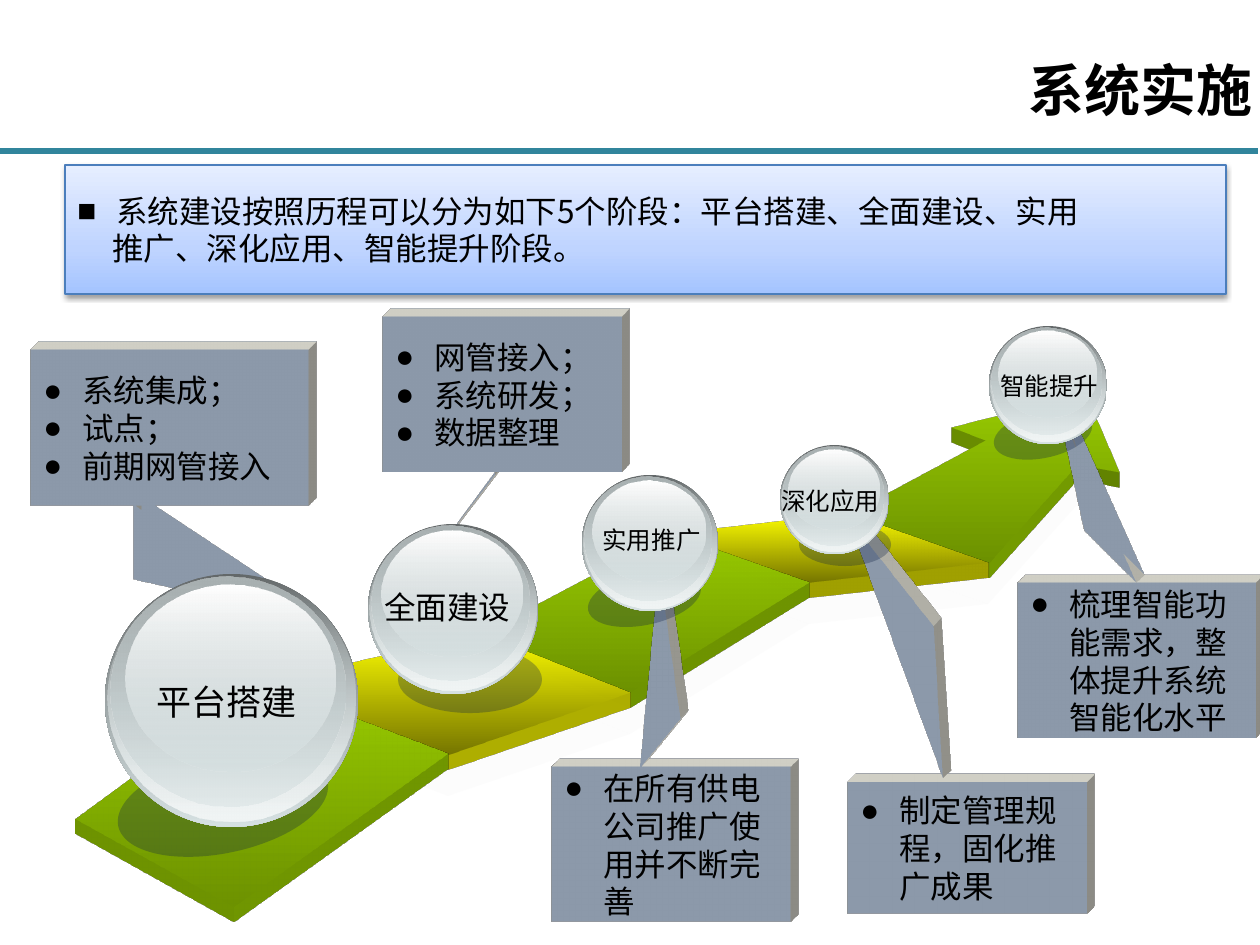
from lxml.etree import SubElement
from pptx import Presentation
from pptx.dml.color import RGBColor
from pptx.enum.shapes import MSO_CONNECTOR, MSO_SHAPE
from pptx.enum.text import MSO_ANCHOR, PP_ALIGN
from pptx.oxml.ns import qn
from pptx.util import Pt

SCALE = 914400 / 126  # EMU per px
FONT = "Noto Sans CJK SC"
BLACK = RGBColor(0x00, 0x00, 0x00)
TEAL = RGBColor(0x31, 0x85, 0x9C)
HEADER_LINE = RGBColor(0x4B, 0x7E, 0xBC)
SKY = RGBColor(0xC6, 0xD9, 0xF1)
SKY_LINE = RGBColor(0x95, 0xB3, 0xD7)
CREAM = RGBColor(0xEE, 0xEC, 0xE1)
NAVY = RGBColor(0x0F, 0x21, 0x45)
PALE = RGBColor(0xEA, 0xEA, 0xEA)
MIST = RGBColor(0xD6, 0xE1, 0xE2)
GREEN_SIDE = RGBColor(0x99, 0xCC, 0x00)
YELLOW_SIDE = RGBColor(0xFF, 0xFF, 0x00)
GREEN = [(0, GREEN_SIDE, 100), (100, RGBColor(0x6D, 0x92, 0x00), 100)]
YELLOW = [(0, YELLOW_SIDE, 100), (100, RGBColor(0x76, 0x76, 0x00), 100)]
HEADER_FILL = [(0, RGBColor(0xA4, 0xC4, 0xFF), 100), (35, RGBColor(0xBF, 0xD4, 0xFF), 100),
               (100, RGBColor(0xE6, 0xEE, 0xFF), 100)]

# Sphere layers: left, top, width, height as shares of the diameter, then gradient
SPHERE_LAYERS = [
    ((0, 0, 1, 1), [(0, RGBColor(0x63, 0x68, 0x69), 100), (100, MIST, 100)]),
    ((0.01, 0, 0.98, 0.98), [(0, MIST, 0), (100, RGBColor(0xF1, 0xF5, 0xF5), 100)]),
    ((0.02, 0.01, 0.93, 0.91), [(0, RGBColor(0xAA, 0xB2, 0xB3), 100), (100, MIST, 48)]),
    ((0.08, 0.04, 0.83, 0.74), [(0, RGBColor(0xFF, 0xFF, 0xFF), 100), (100, MIST, 38)]),
]
# Road pieces: outline, top gradient, side colour
ROAD = [
    ([(849, 514), (989, 563), (1077, 465), (1119, 473), (1085, 394), (951, 428), (985, 441)],
     GREEN, GREEN_SIDE),
    ([(672, 534), (810, 583), (989, 563), (849, 514)], YELLOW, YELLOW_SIDE),
    ([(483, 634), (631, 693), (810, 583), (672, 534)], GREEN, GREEN_SIDE),
    ([(263, 683), (449, 755), (631, 693), (483, 634)], YELLOW, YELLOW_SIDE),
    ([(75, 819), (234, 907), (449, 754), (262, 683)], GREEN, GREEN_SIDE),
]
# Callouts: box, pointer adjustments (y, x pairs), bullet lines
CALLOUTS = [
    ((31, 350, 277, 156), (0.99, 0.37, 1.47, 0.37, 1.71, 0.98), ["系统集成；", "试点；", "前期网管接入"]),
    ((383, 317, 238, 155), (1, 0.47, 1.02, 0.47, 1.5, 0.23), ["网管接入；", "系统研发；", "数据整理"]),
    ((552, 767, 238, 155), (0.01, 0.37, -0.31, 0.54, -1.29, 0.45), ["在所有供电公司推广使用并不断完善"]),
    ((848, 782, 238, 132), (-0.03, 0.4, -1.18, 0.36, -2.01, 0), ["制定管理规程，固化推广成果"]),
    ((1018, 583, 238, 155), (0, 0.5, -0.34, 0.28, -1.13, 0.17), ["梳理智能功能需求，整体提升系统智能化水平"]),
]
# Stages: name, sphere left, top, diameter, floor shadow box, its turn, label box, text size
STAGES = [
    ("平台搭建", 105, 574, 253, (116, 755, 214, 98), -12, (144, 674, 180, 55), 20),
    ("全面建设", 368, 524, 170, (398, 646, 144, 67), 0, (372, 582, 159, 50), 18),
    ("实用推广", 582, 475, 136, (587, 572, 115, 53), -12, (590, 519, 159, 43), 14),
    ("深化应用", 780, 445, 109, (799, 523, 92, 43), 0, (769, 480, 159, 43), 14),
    ("智能提升", 989, 326, 118, (993, 411, 100, 47), -12, (988, 365, 159, 43), 14),
]


def px(value):
    return round(value * SCALE)


def place(part, box):
    part.left, part.top, part.width, part.height = map(px, box)


def add_color(parent, color, opacity=100):
    node = SubElement(parent, qn("a:srgbClr"), val=str(color))
    if opacity < 100:
        SubElement(node, qn("a:alpha"), val=str(opacity * 1000))


def paint(part, fill, opacity=100, angle=90, line=None, weight=0.75):
    """Fill with a colour, or with a list of (position, colour, opacity) stops."""
    part.shadow.inherit = False
    if line is None:
        part.line.fill.background()
    else:
        part.line.color.rgb = line
        part.line.width = Pt(weight)
    part.fill.background()
    blank = part._element.spPr.find(qn("a:noFill"))
    if isinstance(fill, list):
        node = blank.makeelement(qn("a:gradFill"), {"rotWithShape": "1"})
        stops = SubElement(node, qn("a:gsLst"))
        for position, color, stop_opacity in fill:
            stop = SubElement(stops, qn("a:gs"), pos=str(position * 1000))
            add_color(stop, color, stop_opacity)
        SubElement(node, qn("a:lin"), ang=str(angle * 60000), scaled="0")
    else:
        node = blank.makeelement(qn("a:solidFill"), {})
        add_color(node, fill, opacity)
    blank.getparent().replace(blank, node)


def extrude(part, camera, light, depth, color):
    """Give the part real thickness, seen obliquely."""
    properties = part._element.spPr
    scene = SubElement(properties, qn("a:scene3d"))
    SubElement(scene, qn("a:camera"), prst=camera)
    SubElement(scene, qn("a:lightRig"), rig="legacyFlat3", dir=light)
    solid = SubElement(properties, qn("a:sp3d"), extrusionH=str(px(depth)), prstMaterial="legacyMatte")
    add_color(SubElement(solid, qn("a:extrusionClr")), color)


def add_preset(slide, kind, box, fill, **style):
    part = slide.shapes.add_shape(kind, *map(px, box))
    paint(part, fill, **style)
    return part


def add_polygon(slide, points, fill, **style):
    builder = slide.shapes.build_freeform(*points[0], scale=SCALE)
    builder.add_line_segments(points[1:], close=True)
    part = builder.convert_to_shape()
    paint(part, fill, **style)
    return part


def write(paragraph, text, size=18, bold=False, align=PP_ALIGN.LEFT, bullet=None, margin=0):
    paragraph.alignment = align
    properties = paragraph._p.get_or_add_pPr()
    properties.set("marL", str(px(margin)))
    properties.set("indent", str(-px(margin) if bullet else 0))
    if bullet:
        SubElement(properties, qn("a:buFont"), typeface="Arial")
        SubElement(properties, qn("a:buChar"), char=bullet)
    run = paragraph.add_run()
    run.text = text
    run.font.size, run.font.bold, run.font.name = Pt(size), bold, FONT
    run.font.color.rgb = BLACK
    SubElement(run._r.get_or_add_rPr(), qn("a:ea"), typeface=FONT)


def add_heading(slide, box):
    rule = slide.shapes.add_connector(MSO_CONNECTOR.STRAIGHT, 0, px(151), px(1258), px(151))
    rule.line.color.rgb = TEAL
    rule.line.width = Pt(3)
    SubElement(rule._element.spPr, qn("a:effectLst"))
    title = slide.shapes.title
    place(title, box)
    title.text_frame.vertical_anchor = MSO_ANCHOR.MIDDLE
    write(title.text_frame.paragraphs[0], "系统实施", size=32, bold=True, align=PP_ALIGN.RIGHT)


def add_summary(slide, box):
    summary = add_preset(slide, MSO_SHAPE.RECTANGLE, box, HEADER_FILL, angle=270, line=HEADER_LINE)
    effects = summary._element.spPr.find(qn("a:effectLst"))
    shade = SubElement(effects, qn("a:outerShdw"), blurRad=str(Pt(3)), dist=str(Pt(1.6)),
                       dir="5400000", rotWithShape="0")
    add_color(shade, BLACK, 38)
    frame = summary.text_frame
    frame.word_wrap = True
    frame.vertical_anchor = MSO_ANCHOR.MIDDLE
    write(frame.paragraphs[0], "系统建设按照历程可以分为如下5个阶段：平台搭建、全面建设、实用", bullet="■", margin=39)
    write(frame.add_paragraph(), "推广、深化应用、智能提升阶段。", margin=35)


def add_road(slide, depth):
    for outline, *_ in ROAD[:4]:
        add_polygon(slide, [(x - 1, y + 41) for x, y in outline], PALE, opacity=10)
    for outline, top, side in ROAD:
        extrude(add_polygon(slide, outline, top), "legacyObliqueBottom", "b", depth, side)


def add_callout(slide, box, pointer, lines, depth=23):
    block = add_preset(slide, MSO_SHAPE.LINE_CALLOUT_2, box, SKY, line=SKY_LINE, weight=2.25)
    extrude(block, "legacyObliqueTopRight", "r", depth, CREAM)
    for index, value in enumerate(pointer):
        block.adjustments[index] = value
    frame = block.text_frame
    frame.word_wrap = True
    frame.vertical_anchor = MSO_ANCHOR.MIDDLE
    for index, line in enumerate(lines):
        paragraph = frame.add_paragraph() if index else frame.paragraphs[0]
        write(paragraph, line, bullet="●", margin=39)


def add_stage(slide, name, left, top, diameter, floor, turn, label_box, size):
    add_preset(slide, MSO_SHAPE.OVAL, floor, NAVY, opacity=30).rotation = turn
    for (x, y, w, h), gradient in SPHERE_LAYERS:
        layer = (left + x * diameter, top + y * diameter, w * diameter, h * diameter)
        add_preset(slide, MSO_SHAPE.OVAL, layer, gradient)
    label = slide.shapes.add_textbox(*map(px, label_box))
    label.text_frame.word_wrap = True
    write(label.text_frame.paragraphs[0], name, size=size)


def main():
    deck = Presentation()
    deck.slide_width, deck.slide_height = px(1260), px(945)
    slide = deck.slides.add_slide(deck.slide_layouts[5])
    add_heading(slide, (307, 1, 958, 176))
    add_summary(slide, (65, 165, 1161, 129))
    add_road(slide, 30)
    for callout in CALLOUTS:
        add_callout(slide, *callout)
    for stage in STAGES:
        add_stage(slide, *stage)
    deck.save("out.pptx")


if __name__ == "__main__":
    main()
